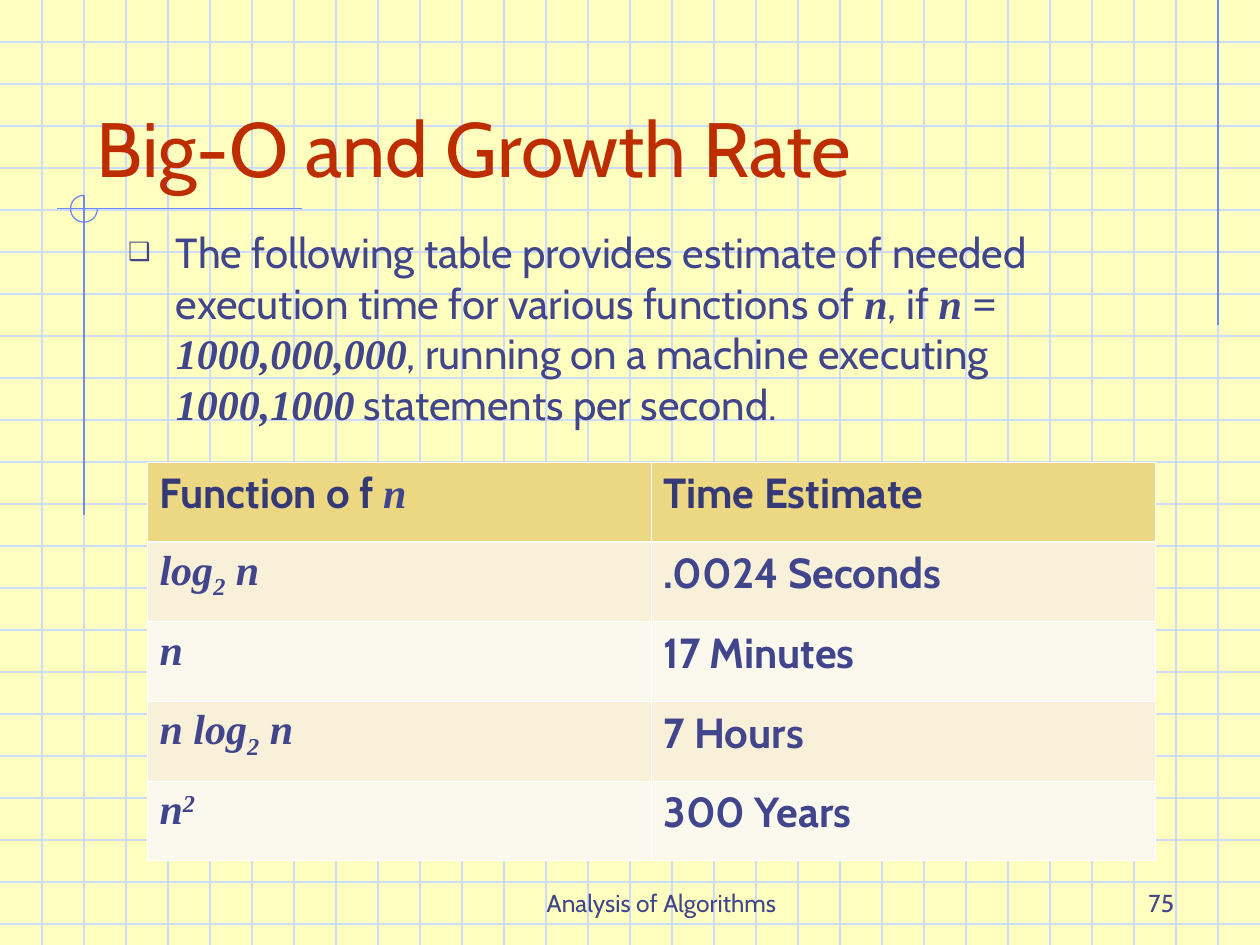
from lxml.etree import SubElement
from pptx import Presentation
from pptx.dml.color import RGBColor
from pptx.enum.shapes import MSO_CONNECTOR, MSO_SHAPE
from pptx.enum.text import MSO_ANCHOR, MSO_AUTO_SIZE, PP_ALIGN
from pptx.oxml.ns import qn
from pptx.util import Inches, Pt

PAPER = RGBColor(0xFF, 0xFF, 0xBF)
RULE = RGBColor(0xCF, 0xDB, 0xFD)
ACCENT = RGBColor(0x6F, 0x89, 0xF7)
RED = RGBColor(0xBE, 0x2D, 0x00)
INK = RGBColor(0x40, 0x45, 0x8C)
DARK = RGBColor(0x35, 0x3A, 0x77)
GOLD = RGBColor(0xEC, 0xD8, 0x82)
SAND = RGBColor(0xF8, 0xF0, 0xD8)
CREAM = RGBColor(0xFB, 0xF8, 0xED)
WHITE = RGBColor(0xFF, 0xFF, 0xFF)
SANS, SERIF = "Cabin", "Times New Roman"
COLS, ROWS = 30, 22.5
SUB, SUP = -25000, 30000

INTRO = [
    ("The following table provides estimate of needed execution time "
     "for various functions of ", False),
    ("n", True), (", if ", False), ("n = 1000,000,000", True),
    (", running on a machine executing ", False), ("1000,1000", True),
    (" statements per second.", False),
]
TIMES = [
    ([("Function o f ", False), ("n", True)], "Time Estimate"),
    ([("log", True), ("2", True, SUB), (" n", True)], ".0024 Seconds"),
    ([("n", True)], "17 Minutes"),
    ([("n log", True), ("2", True, SUB), (" n", True)], "7 Hours"),
    ([("n", True), ("2", True, SUP)], "300 Years"),
]


def grid(*cells):
    """Turn counts of grid squares, three to the inch, into lengths."""
    return [Inches(cell / 3) for cell in cells]


def style(font, size, color, name=SANS, bold=False, slant=False):
    """Set the look of a font."""
    font.size, font.name = Pt(size), name
    font.bold, font.italic = bold, slant
    font.color.rgb = color


def fill_runs(para, parts, color, bold=False):
    """Add plain and math runs, with optional baseline shifts."""
    for text, math, *shift in parts:
        run = para.add_run()
        run.text = text
        style(run.font, 24, RGBColor(*INK) if math else color,
              SERIF if math else SANS, bold or math, math)
        if shift:
            run.font._element.set("baseline", str(shift[0]))


def rule(slide, ends, color):
    """Draw a thin straight line between two grid points."""
    line = slide.shapes.add_connector(MSO_CONNECTOR.STRAIGHT, *grid(*ends))
    line.line.color.rgb, line.line.width = color, Pt(0.75)
    SubElement(line._element.spPr, qn("a:effectLst"))


def draw_paper(slide):
    """Rule the slide as squared paper."""
    slide.background.fill.solid()
    slide.background.fill.fore_color.rgb = PAPER
    for row in range(1, int(ROWS) + 1):
        rule(slide, (0, row, COLS, row), RULE)
    for col in range(1, COLS):
        rule(slide, (col, 0, col, ROWS), RULE)


def draw_marks(slide):
    """Draw the accent lines and the open ring where two cross."""
    for ends in [(29, 0, 29, 7.74), (7.2, 4.97, 1.36, 4.97),
                 (2, 4.65, 2, 12.27)]:
        rule(slide, ends, ACCENT)
    ring = slide.shapes.add_shape(MSO_SHAPE.ARC,
                                  *grid(1.68, 4.65, 0.64, 0.64))
    ring.adjustments[0], ring.adjustments[1] = 0, 162
    ring.shadow.inherit = False
    ring.fill.background()
    ring.line.color.rgb, ring.line.width = ACCENT, Pt(0.75)


def place(slide, holder, box):
    """Move a placeholder into a box, in front of the paper."""
    holder.left, holder.top, holder.width, holder.height = grid(*box)
    slide.shapes.element.append(holder.element)
    holder.text_frame.auto_size = MSO_AUTO_SIZE.NONE
    return holder.text_frame


def write_title(slide, box):
    """Write the slide title at the foot of its box."""
    frame = place(slide, slide.shapes.title, box)
    frame.text = "Big-O and Growth Rate"
    frame.vertical_anchor = MSO_ANCHOR.BOTTOM
    para = frame.paragraphs[0]
    para.alignment = PP_ALIGN.LEFT
    style(para.runs[0].font, 44, RED)


def write_body(slide, box):
    """Write the bulleted introduction."""
    frame = place(slide, slide.placeholders[1], box)
    para = frame.paragraphs[0]
    para.space_before = Pt(0)
    props = para._p.get_or_add_pPr()
    props.set("marL", str(Inches(0.38)))
    props.set("indent", str(-Inches(0.38)))
    tint = SubElement(props, qn("a:buClr"))
    SubElement(tint, qn("a:srgbClr"), val=str(INK))
    SubElement(props, qn("a:buSzPct"), val="60000")
    SubElement(props, qn("a:buChar"), char="❑")
    fill_runs(para, INTRO, INK)


def edge(cell, side, width):
    """Give one side of a cell a white border."""
    line = SubElement(cell._tc.get_or_add_tcPr(), qn("a:" + side),
                      w=str(Pt(width)))
    fill = SubElement(line, qn("a:solidFill"))
    SubElement(fill, qn("a:srgbClr"), val=str(WHITE))


def draw_table(slide, box):
    """Draw the table of time estimates in equal rows."""
    table = slide.shapes.add_table(len(TIMES), 2, *grid(*box)).table
    for row, (func, time) in enumerate(TIMES):
        table.rows[row].height = grid(box[3] / len(TIMES))[0]
        shade = GOLD if row == 0 else SAND if row % 2 else CREAM
        for col, parts in enumerate([func, [(time, False)]]):
            cell = table.cell(row, col)
            edge(cell, "lnL", 0.45)
            edge(cell, "lnR", 0.45)
            edge(cell, "lnT", 1.47 if row == 1 else 0.45)
            edge(cell, "lnB", 1.47 if row == 0 else 0.45)
            cell.fill.solid()
            cell.fill.fore_color.rgb = shade
            fill_runs(cell.text_frame.paragraphs[0], parts,
                      INK if row else DARK, True)


def write_foot(slide, box, text, align):
    """Write one footer item."""
    frame = slide.shapes.add_textbox(*grid(*box)).text_frame
    frame.word_wrap = True
    frame.vertical_anchor = MSO_ANCHOR.BOTTOM
    frame.text = text
    para = frame.paragraphs[0]
    para.alignment = align
    style(para.runs[0].font, 14, INK)


def main():
    """Build and save the slide."""
    deck = Presentation()
    deck.slide_width, deck.slide_height = grid(COLS, ROWS)
    slide = deck.slides.add_slide(deck.slide_layouts[1])
    draw_paper(slide)
    draw_marks(slide)
    write_foot(slide, (11, 20.5, 9.5, 1.5), "Analysis of Algorithms",
               PP_ALIGN.CENTER)
    write_foot(slide, (22, 20.5, 6.25, 1.5), "75", PP_ALIGN.RIGHT)
    write_title(slide, (2, 1, 25.5, 3.75))
    write_body(slide, (2.75, 5.25, 25.5, 15.5))
    draw_table(slide, (3.5, 11, 24, 9.5))
    deck.save("out.pptx")


if __name__ == "__main__":
    main()
